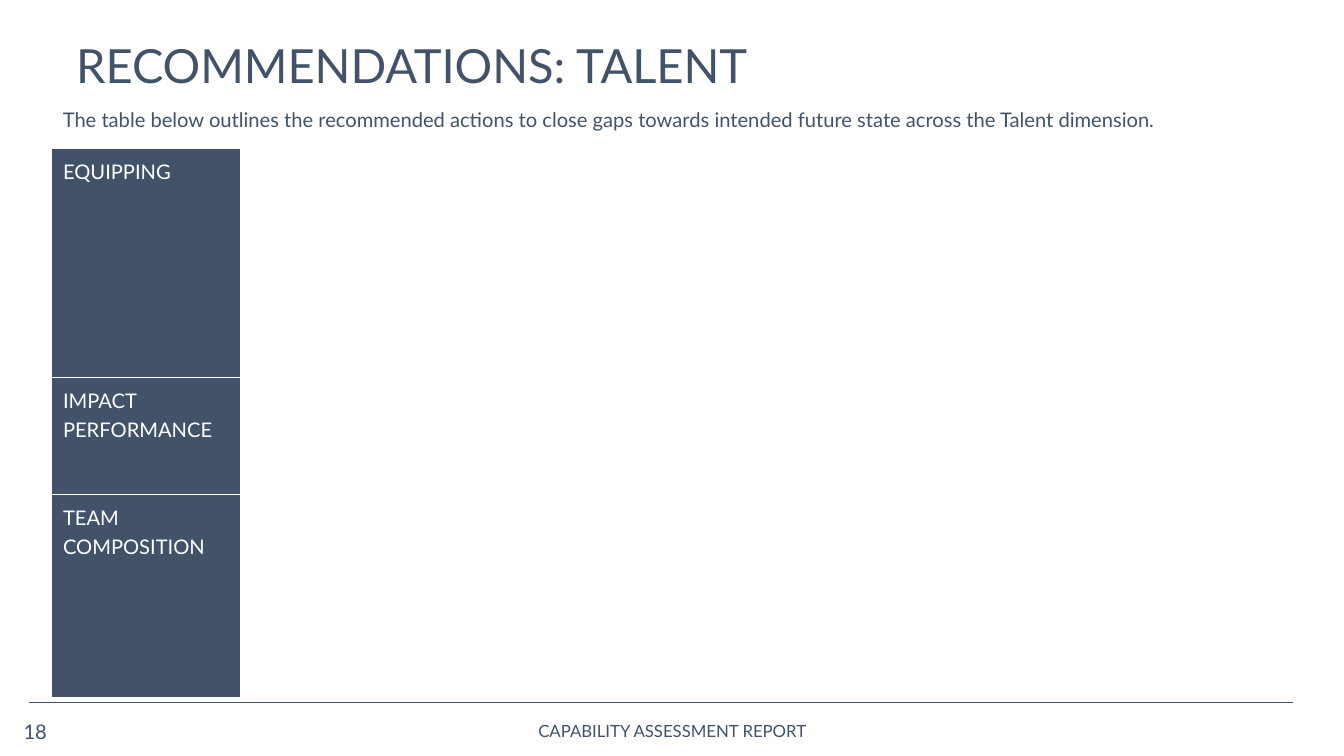
import pptx
import pptx.util
import pptx.dml.color
import pptx.enum.shapes
import pptx.enum.text
import pptx.oxml
import pptx.oxml.ns
import lxml.etree

Cm = pptx.util.Cm
Pt = pptx.util.Pt
RGB = pptx.dml.color.RGBColor.from_string
ALIGN = pptx.enum.text.PP_ALIGN
ANCHOR = pptx.enum.text.MSO_ANCHOR
qn = pptx.oxml.ns.qn
COLORS = {"slate": "425369", "white": "FFFFFF"}


def style(paragraph, size, color):
    for run in paragraph.runs:
        run.font.name = "Lato"
        run.font.size = Pt(size)
        run.font.color.rgb = RGB(COLORS[color])


def add_border(cell, side, width):
    border = lxml.etree.Element(qn(f"a:{side}"), w=str(Pt(width)))
    fill = lxml.etree.SubElement(border, qn("a:solidFill"))
    lxml.etree.SubElement(fill, qn("a:srgbClr"), val=COLORS["white"])
    return border


report = pptx.Presentation()
report.slide_width = Cm(28.22)
report.slide_height = Cm(15.88)
slide = report.slides.add_slide(report.slide_layouts[6])

footer_rule = slide.shapes.add_connector(
    pptx.enum.shapes.MSO_CONNECTOR.STRAIGHT, Cm(0.61), Cm(14.75), Cm(27.15), Cm(14.75))
footer_rule.line.color.rgb = RGB(COLORS["slate"])
footer_rule.line.width = Pt(0.75)
lxml.etree.SubElement(footer_rule.element.spPr, qn("a:effectLst"))

texts = [
    ("RECOMMENDATIONS: TALENT", 1.35, 0.36, 25.53, 2.01, 28, ALIGN.LEFT, ANCHOR.MIDDLE),
    ("The table below outlines the recommended actions to close gaps towards intended "
     "future state across the Talent dimension.",
     1.07, 2.13, 25.53, 0.94, 12, ALIGN.LEFT, ANCHOR.TOP),
    ("18", 0.13, 14.94, 1.22, 0.84, 12, ALIGN.CENTER, ANCHOR.MIDDLE),
    ("CAPABILITY ASSESSMENT REPORT", 6.99, 14.94, 14.25, 0.84, 10, ALIGN.CENTER, ANCHOR.MIDDLE),
]
for wording, left, top, width, height, size, align, anchor in texts:
    frame = slide.shapes.add_textbox(Cm(left), Cm(top), Cm(width), Cm(height)).text_frame
    frame.word_wrap = True
    frame.vertical_anchor = anchor
    frame.text = wording
    frame.paragraphs[0].alignment = align
    style(frame.paragraphs[0], size, "slate")

dimensions = [("EQUIPPING", 4.81), ("IMPACT PERFORMANCE", 2.46), ("TEAM COMPOSITION", 4.27)]
actions = slide.shapes.add_table(
    len(dimensions), 2, Cm(1.07), Cm(3.12), Cm(26.29), Cm(11.54)).table
actions.columns[0].width = Cm(3.99)
actions.columns[1].width = Cm(22.3)

for row, (dimension, height) in enumerate(dimensions):
    actions.rows[row].height = Cm(height)
    actions.cell(row, 0).text_frame.text = dimension
    label = actions.cell(row, 0).text_frame.paragraphs[0]
    label.line_spacing = 1.2
    style(label, 12, "white")
    for column, color in enumerate(("slate", "white")):
        cell = actions.cell(row, column)
        cell.fill.solid()
        cell.fill.fore_color.rgb = RGB(COLORS[color])
        properties = cell._tc.get_or_add_tcPr()
        for position, side in enumerate(("lnL", "lnR", "lnT", "lnB")):
            width = 3 if (row, column, side) == (0, 1, "lnB") else 1
            properties.insert(position, add_border(cell, side, width))

report.save("out.pptx")
